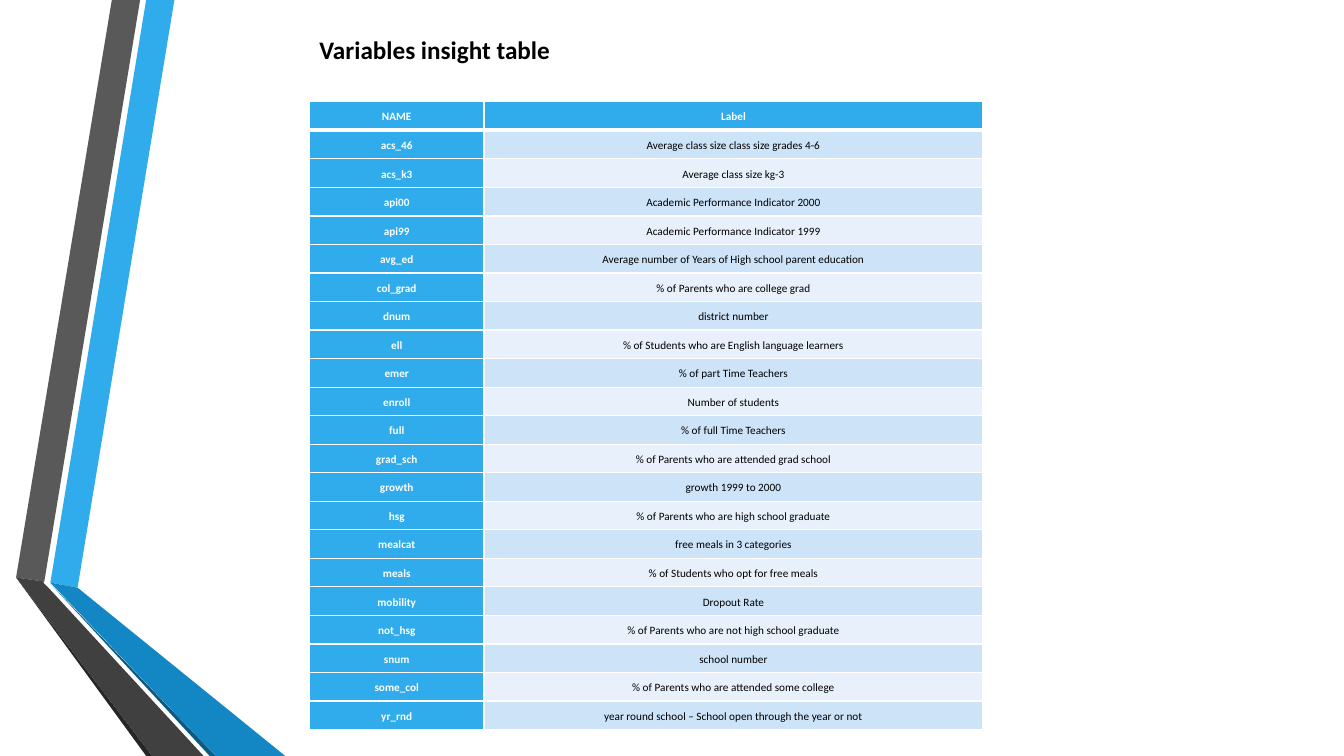
from lxml import etree
from pptx import Presentation, util as u
from pptx.dml.color import RGBColor
from pptx.enum import text
from pptx.oxml import ns

FONT = "Calibri"
WHITE, BLACK, BLUE = "FFFFFF", "000000", "30ACEC"
STRIPES = ["CDE3F8", "E8F1FB"]

# Ribbon faces from back to front: colour and corners within the ribbon box
RIBBON_FACES = [
    (BLUE, [(0.34, 5.78), (0.61, 5.83), (1.57, 0), (1.29, 0)]),
    ("595959", [(1.23, 0), (0.95, 0), (0, 5.73), (0.28, 5.77)]),
    ("262626", [(0, 5.73), (1.29, 7.5), (1.35, 7.5)]),
    ("0C5A82", [(0.34, 5.79), (1.92, 7.5), (1.98, 7.5)]),
    ("1287C3", [(0.34, 5.78), (1.98, 7.5), (2.67, 7.5), (0.61, 5.83)]),
    ("404040", [(1.86, 7.5), (0.32, 5.83), (0.27, 5.78), (0.28, 5.77),
                (0, 5.73), (1.35, 7.5)]),
]

VARIABLES = [
    ("NAME", "Label"),
    ("acs_46", "Average class size class size grades 4-6"),
    ("acs_k3", "Average class size kg-3"),
    ("api00", "Academic Performance Indicator 2000"),
    ("api99", "Academic Performance Indicator 1999"),
    ("avg_ed", "Average number of Years of High school parent education"),
    ("col_grad", "% of Parents who are college grad"),
    ("dnum", "district number"),
    ("ell", "% of Students who are English language learners"),
    ("emer", "% of part Time Teachers"),
    ("enroll", "Number of students"),
    ("full", "% of full Time Teachers"),
    ("grad_sch", "% of Parents who are attended grad school"),
    ("growth", "growth 1999 to 2000"),
    ("hsg", "% of Parents who are high school graduate"),
    ("mealcat", "free meals in 3 categories"),
    ("meals", "% of Students who opt for free meals"),
    ("mobility", "Dropout Rate"),
    ("not_hsg", "% of Parents who are not high school graduate"),
    ("snum", "school number"),
    ("some_col", "% of Parents who are attended some college"),
    ("yr_rnd", "year round school – School open through the year or not"),
]


def rgb(color):
    return RGBColor.from_string(color)


def set_font(paragraph, size, color, bold):
    font = paragraph.font
    font.name, font.size, font.bold = FONT, u.Pt(size), bold
    font.color.rgb = rgb(color)


def add_ribbon(slide, left, top):
    for color, corners in RIBBON_FACES:
        start, *rest = [(u.Inches(left + x), u.Inches(top + y)) for x, y in corners]
        builder = slide.shapes.build_freeform(*start)
        builder.add_line_segments(rest, close=True)
        face = builder.convert_to_shape()
        face.shadow.inherit = False
        face.fill.solid()
        face.fill.fore_color.rgb = rgb(color)
        face.line.fill.background()


def add_title(slide, left, top, width, height):
    title = slide.shapes.add_textbox(*map(u.Inches, (left, top, width, height)))
    title.text_frame.word_wrap = True
    heading = title.text_frame.paragraphs[0]
    heading.text = "Variables insight table"
    set_font(heading, 18, BLACK, True)


def set_borders(cell, color, **widths):
    # Borders come before the fill, in the order left, right, top, bottom
    properties = cell._tc.get_or_add_tcPr()
    for position, (side, points) in enumerate(widths.items()):
        line = etree.Element(ns.qn(f"a:ln{side}"), w=str(u.Pt(points)))
        fill = etree.SubElement(line, ns.qn("a:solidFill"))
        etree.SubElement(fill, ns.qn("a:srgbClr"), val=color)
        properties.insert(position, line)


def fill_cell(cell, content, fill, color, bold):
    cell.margin_left = cell.margin_right = u.Inches(0.06)
    cell.margin_top = cell.margin_bottom = 0
    cell.vertical_anchor = text.MSO_ANCHOR.MIDDLE
    cell.fill.solid()
    cell.fill.fore_color.rgb = rgb(fill)
    paragraph = cell.text_frame.paragraphs[0]
    paragraph.text = content
    paragraph.alignment = text.PP_ALIGN.CENTER
    paragraph.line_spacing = 1.15
    set_font(paragraph, 8, color, bold)


def add_variables(slide, left, top, width, height, name_width):
    box = map(u.Inches, (left, top, width, height))
    table = slide.shapes.add_table(len(VARIABLES), 2, *box).table
    table.columns[0].width = u.Inches(name_width)
    table.columns[1].width = u.Inches(width - name_width)
    for row, entry in enumerate(VARIABLES):
        table.rows[row].height = u.Inches(height / len(VARIABLES))
        for column, content in enumerate(entry):
            cell = table.cell(row, column)
            if row == 0 or column == 0:
                fill_cell(cell, content, BLUE, WHITE, True)
            else:
                fill_cell(cell, content, STRIPES[(row - 1) % 2], BLACK, False)
            # A thick rule parts the header from the body
            set_borders(cell, WHITE, L=1, R=1,
                        T=3 if row == 1 else 1, B=3 if row == 0 else 1)


def main():
    deck = Presentation()
    deck.slide_width, deck.slide_height = u.Inches(13.33), u.Inches(7.5)
    slide = deck.slides.add_slide(deck.slide_layouts[6])
    add_ribbon(slide, 0.16, 0)
    add_variables(slide, 3.07, 1.01, 6.68, 6.23, name_width=1.73)
    add_title(slide, 3.07, 0.29, 3.58, 0.4)
    deck.save("out.pptx")


if __name__ == "__main__":
    main()
